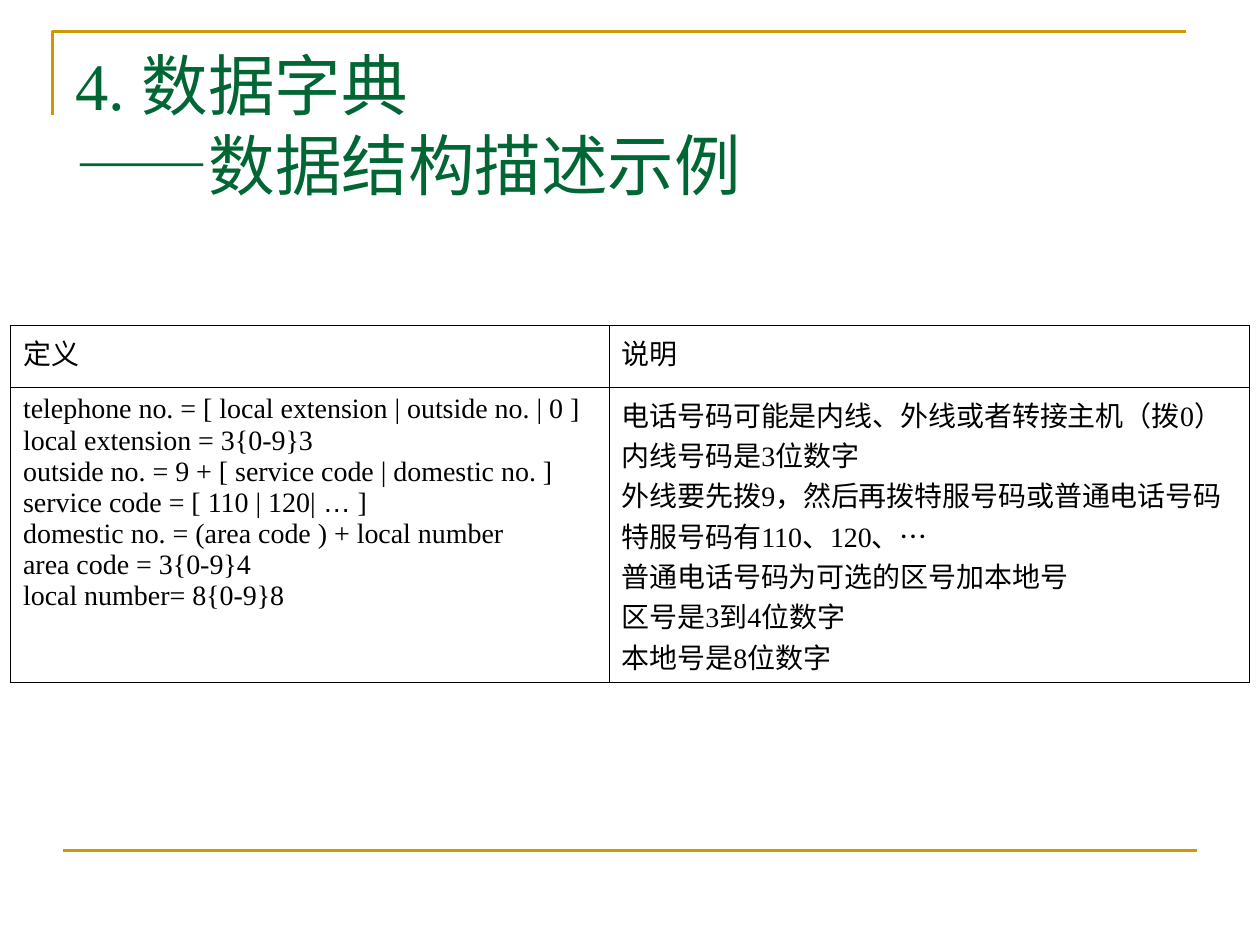
from pptx import Presentation
from pptx.dml.color import RGBColor
from pptx.enum.shapes import MSO_CONNECTOR as CONN
from pptx.oxml import parse_xml
from pptx.oxml.ns import nsdecls
from pptx.util import Pt

GOLD = RGBColor(0xCC, 0x99, 0x00)
GREEN = RGBColor(0x00, 0x66, 0x33)
BLACK = RGBColor(0x00, 0x00, 0x00)
SERIF, SANS = "Times New Roman", "Arial"
SANS_MARKS = ("——", "…")

TITLE = ["4. 数据字典", "——数据结构描述示例"]
HEADERS = ["定义", "说明"]
DEFINITIONS = [
    ("telephone no. = [ local extension | outside no. | 0 ]",
     "电话号码可能是内线、外线或者转接主机（拨0）"),
    ("local extension = 3{0-9}3", "内线号码是3位数字"),
    ("outside no. = 9 + [ service code | domestic no. ]",
     "外线要先拨9，然后再拨特服号码或普通电话号码"),
    ("service code = [ 110 | 120| … ]", "特服号码有110、120、…"),
    ("domestic no. = (area code ) + local number",
     "普通电话号码为可选的区号加本地号"),
    ("area code = 3{0-9}4", "区号是3到4位数字"),
    ("local number= 8{0-9}8", "本地号是8位数字"),
]
COL_WIDTHS = [342, 366]
ROW_HEIGHTS = [35.5, 168.5]
HANGING = Pt(27)


def add_text(p, text):
    """Add runs to p, setting dashes and ellipses in the sans font."""
    for mark in SANS_MARKS:
        text = text.replace(mark, f"\t{mark}\t")
    for part in filter(None, text.split("\t")):
        r = p.add_run()
        r.text = part
        r.font.name = SANS if part in SANS_MARKS else SERIF


def style(p, size, color):
    p.font.size = Pt(size)
    p.font.color.rgb = color


def fill_cell(cell, lines):
    cell.fill.background()
    tf = cell.text_frame
    for i, line in enumerate(lines):
        p = tf.add_paragraph() if i else tf.paragraphs[0]
        pPr = p._p.get_or_add_pPr()
        pPr.set("marL", str(HANGING))
        pPr.set("indent", str(-HANGING))
        add_text(p, line)
        style(p, 16, BLACK)
    tcPr = cell._tc.get_or_add_tcPr()
    for i, side in enumerate(("lnL", "lnR", "lnT", "lnB")):
        tcPr.insert(i, parse_xml(
            f'<a:{side} {nsdecls("a")} w="{Pt(0.45)}"><a:solidFill>'
            f'<a:srgbClr val="{BLACK}"/></a:solidFill></a:{side}>'))


prs = Presentation()
prs.slide_width, prs.slide_height = Pt(720), Pt(540)
slide = prs.slides.add_slide(prs.slide_layouts[6])
shapes = slide.shapes

builder = shapes.build_freeform(Pt(30), Pt(66))
builder.add_line_segments([(Pt(30), Pt(18)), (Pt(678), Pt(18))], close=False)
corner = builder.convert_to_shape()
corner.shadow.inherit = False
corner.fill.background()

rule = shapes.add_connector(CONN.STRAIGHT, Pt(36), Pt(486), Pt(684), Pt(486))
rule._element.spPr.append(parse_xml(f'<a:effectLst {nsdecls("a")}/>'))
for s in (corner, rule):
    s.line.color.rgb = GOLD
    s.line.width = Pt(1.5)

tf = shapes.add_textbox(Pt(36), Pt(21.6), Pt(648), Pt(90)).text_frame
tf.word_wrap = True
p = tf.paragraphs[0]
for i, line in enumerate(TITLE):
    if i:
        p.add_line_break()
    add_text(p, line)
style(p, 38, GREEN)

frame = shapes.add_table(2, 2, Pt(6), Pt(186), Pt(sum(COL_WIDTHS)),
                         Pt(sum(ROW_HEIGHTS)))
table = frame.table
table.first_row = table.horz_banding = False
for col, width in zip(table.columns, COL_WIDTHS):
    col.width = Pt(width)
for row, height in zip(table.rows, ROW_HEIGHTS):
    row.height = Pt(height)
for c, (header, lines) in enumerate(zip(HEADERS, zip(*DEFINITIONS))):
    fill_cell(table.cell(0, c), [header])
    fill_cell(table.cell(1, c), lines)

prs.save("out.pptx")
